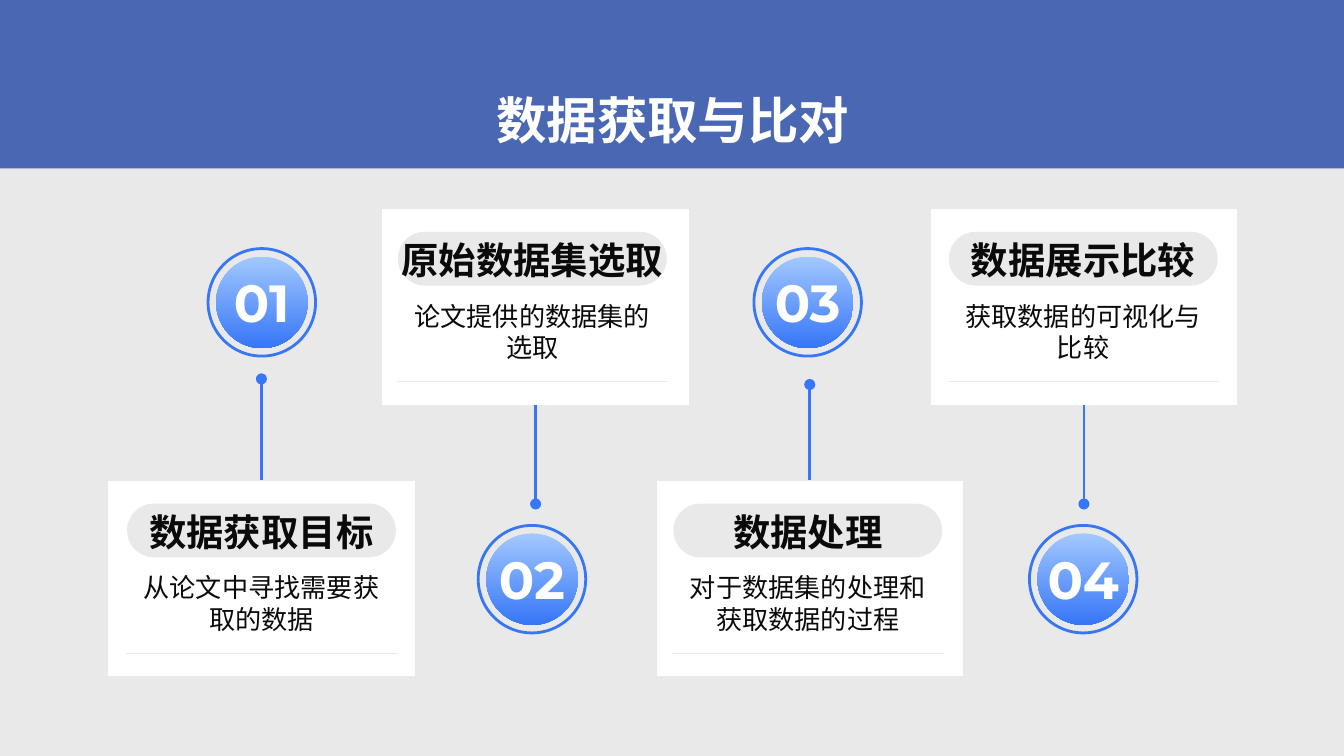
"""Build the four-step data acquisition and comparison slide."""
from pptx import Presentation
from pptx.dml.color import RGBColor
from pptx.enum.shapes import MSO_CONNECTOR as CONN, MSO_SHAPE as SHAPE
from pptx.enum.text import MSO_ANCHOR as ANCHOR, MSO_AUTO_SIZE as AUTO, PP_ALIGN as ALIGN
from pptx.oxml.ns import qn
from pptx.util import Pt
from lxml.etree import SubElement

TITLE = "数据获取与比对"
STEPS = [
    dict(num="01", head="数据获取目标", body="从论文中寻找需要获取的数据",
         low=True, pill_x=68.1, head_w=144, ring_x=111.5, dot_y=203),
    dict(num="02", head="原始数据集选取", body="论文提供的数据集的选取",
         low=False, pill_x=213.2, head_w=177, ring_x=256.2, dot_y=270),
    dict(num="03", head="数据处理", body="对于数据集的处理和获取数据的过程",
         low=True, pill_x=360.8, head_w=144, ring_x=403.9, dot_y=206),
    dict(num="04", head="数据展示比较", body="获取数据的可视化与比较",
         low=False, pill_x=508.3, head_w=144, ring_x=551.5, dot_y=270),
]

GREY = RGBColor(0xE9, 0xE9, 0xE9)
WHITE = RGBColor(0xFF, 0xFF, 0xFF)
INK = RGBColor(0x0A, 0x0A, 0x0A)
NAVY = RGBColor(0x4A, 0x67, 0xB4)
BLUE = RGBColor(0x36, 0x76, 0xF7)
SKY = RGBColor(0xA3, 0xC8, 0xFF)

CARD_X, CARD_STEP, CARD_W, CARD_H = 57.6, 146.88, 164.9, 105.6
HIGH_Y, LOW_Y = 111.6, 257.2
PILL_W, PILL_H, RULE_W = 144, 28.8, 145.4
RING, DISC = 57.6, 49


def add_shape(s, kind, x, y, w, h, fill=None, line=None, weight=0.75):
    sp = s.shapes.add_shape(kind, Pt(x), Pt(y), Pt(w), Pt(h))
    sp.shadow.inherit = False
    if fill is None:
        sp.fill.background()
    else:
        sp.fill.solid()
        sp.fill.fore_color.rgb = fill
    if line is None:
        sp.line.fill.background()
    else:
        sp.line.color.rgb = line
        sp.line.width = Pt(weight)
    return sp


def add_line(s, x1, y1, x2, y2, color, weight, dot=False):
    ln = s.shapes.add_connector(CONN.STRAIGHT, Pt(x1), Pt(y1), Pt(x2), Pt(y2))
    ln.line.color.rgb = color
    ln.line.width = Pt(weight)
    if dot:
        SubElement(ln.line._get_or_add_ln(), qn("a:headEnd"), type="oval")
    SubElement(ln._element.spPr, qn("a:effectLst"))


def set_text(sp, text, size, font, color, bold=False):
    tf = sp.text_frame
    tf.word_wrap = True
    tf.auto_size = AUTO.NONE
    tf.vertical_anchor = ANCHOR.MIDDLE
    tf.margin_left = tf.margin_right = tf.margin_top = tf.margin_bottom = Pt(7.2)
    p = tf.paragraphs[0]
    p.alignment = ALIGN.CENTER
    r = p.add_run()
    r.text = text
    r.font.size, r.font.name, r.font.bold = Pt(size), font, bold
    r.font.color.rgb = color


def add_text(s, text, x, y, w, h, **fmt):
    set_text(s.shapes.add_textbox(Pt(x), Pt(y), Pt(w), Pt(h)), text, **fmt)


def add_card(s, x, y, pill_x):
    add_shape(s, SHAPE.RECTANGLE, x, y, CARD_W, CARD_H, WHITE, GREY)
    pill = add_shape(s, SHAPE.ROUNDED_RECTANGLE, pill_x, y + 12.6, PILL_W, PILL_H, GREY)
    pill.adjustments[0] = 0.5
    add_line(s, pill_x - 0.7, y + 92.8, pill_x - 0.7 + RULE_W, y + 92.8, GREY, 0.75)


def add_badge(s, num, x, y):
    inset = (RING - DISC) / 2
    disc = add_shape(s, SHAPE.OVAL, x + inset, y + inset, DISC, DISC, BLUE)
    disc.fill.gradient()
    disc.fill.gradient_angle = 270
    for stop, color, pos in zip(disc.fill.gradient_stops, (SKY, BLUE), (0, 1)):
        stop.color.rgb = color
        stop.position = pos
    add_shape(s, SHAPE.OVAL, x, y, RING, RING, line=BLUE, weight=1.5)
    add_text(s, num, x, y + 7.6, RING, 41.8, size=28, font="Montserrat", color=WHITE, bold=True)


def main():
    prs = Presentation()
    prs.slide_width, prs.slide_height = Pt(720), Pt(405)
    s = prs.slides.add_slide(prs.slide_layouts[5])
    s.background.fill.solid()
    s.background.fill.fore_color.rgb = GREY

    title = s.shapes.title
    title.left, title.top, title.width, title.height = Pt(57.6), Pt(41.8), Pt(605.5), Pt(44.6)
    set_text(title, TITLE, size=27, font="Montserrat", color=WHITE, bold=True)
    banner = add_shape(s, SHAPE.RECTANGLE, -2.2, -2.9, 725.8, 93.1, NAVY)
    title._element.addprevious(banner._element)

    for i, step in enumerate(STEPS):
        low, pill_x = step["low"], step["pill_x"]
        x, y = CARD_X + i * CARD_STEP, LOW_Y if low else HIGH_Y
        add_card(s, x, y, pill_x)
        stem_x = x + CARD_W / 2
        add_line(s, stem_x, step["dot_y"], stem_x, y if low else y + CARD_H, BLUE, 1.5, dot=True)
        add_badge(s, step["num"], step["ring_x"], 133.2 if low else 281.5)
        add_text(s, step["body"], pill_x - 0.7, y + 44.3, RULE_W, 43.2,
                 size=14, font="Calibri", color=INK)
        head_x = pill_x + (PILL_W - step["head_w"]) / 2
        add_text(s, step["head"], head_x, y + 13, step["head_w"], PILL_H,
                 size=20, font="Montserrat", color=INK, bold=True)

    prs.save("out.pptx")


if __name__ == "__main__":
    main()
